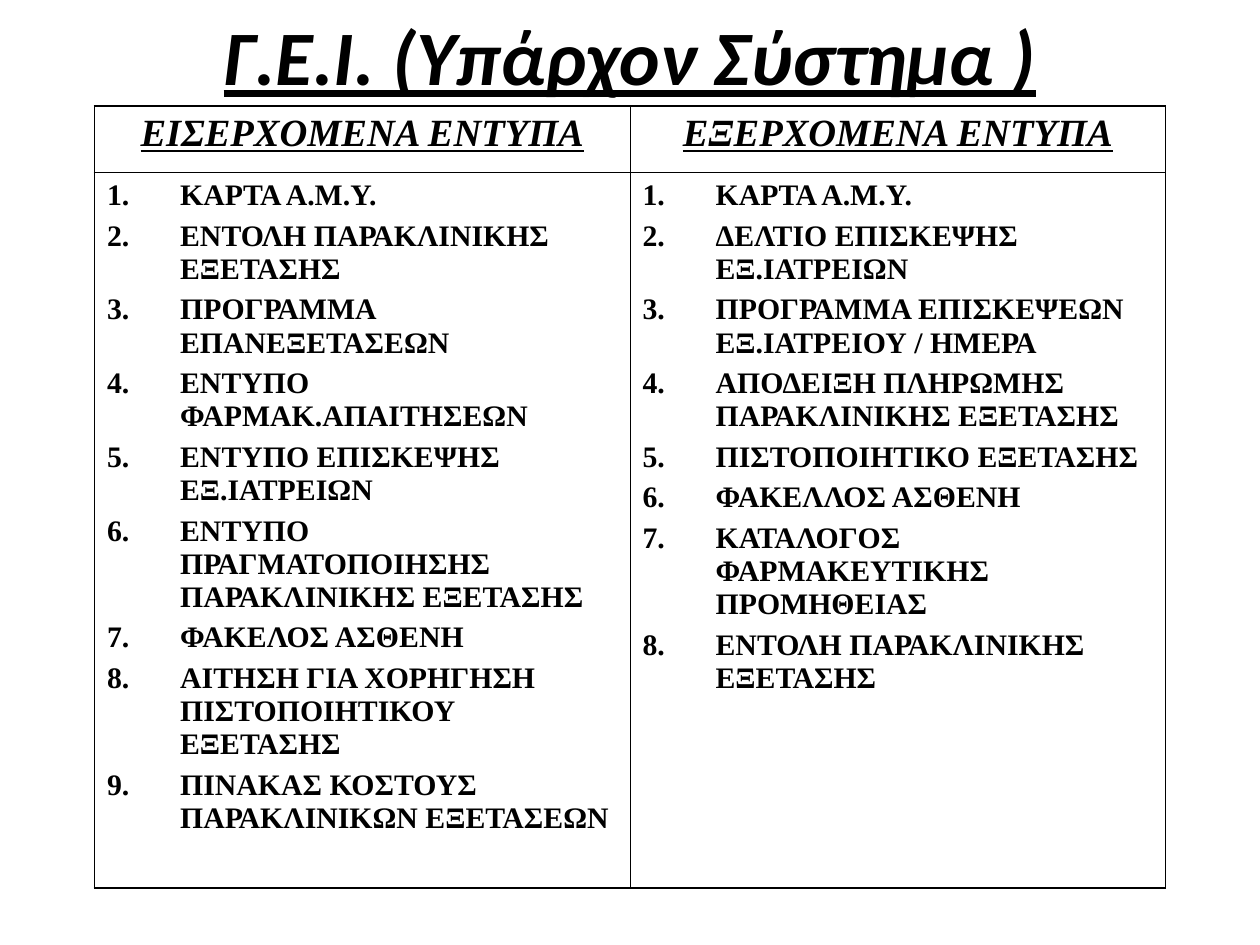
from lxml.etree import SubElement as Sub
from pptx import Presentation
from pptx.dml.color import RGBColor as Rgb
from pptx.enum.text import MSO_ANCHOR as Anchor, PP_ALIGN as Align
from pptx.oxml.ns import qn
from pptx.util import Inches, Pt

TITLE = "Γ.Ε.Ι. (Υπάρχον Σύστημα )"
FORMS = {
    "ΕΙΣΕΡΧΟΜΕΝΑ ΕΝΤΥΠΑ": [
        "ΚΑΡΤΑ Α.Μ.Υ.",
        "ΕΝΤΟΛΗ ΠΑΡΑΚΛΙΝΙΚΗΣ ΕΞΕΤΑΣΗΣ",
        "ΠΡΟΓΡΑΜΜΑ ΕΠΑΝΕΞΕΤΑΣΕΩΝ",
        "ΕΝΤΥΠΟ ΦΑΡΜΑΚ.ΑΠΑΙΤΗΣΕΩΝ",
        "ΕΝΤΥΠΟ ΕΠΙΣΚΕΨΗΣ ΕΞ.ΙΑΤΡΕΙΩΝ",
        "ΕΝΤΥΠΟ ΠΡΑΓΜΑΤΟΠΟΙΗΣΗΣ ΠΑΡΑΚΛΙΝΙΚΗΣ ΕΞΕΤΑΣΗΣ",
        "ΦΑΚΕΛΟΣ ΑΣΘΕΝΗ",
        "ΑΙΤΗΣΗ ΓΙΑ ΧΟΡΗΓΗΣΗ ΠΙΣΤΟΠΟΙΗΤΙΚΟΥ ΕΞΕΤΑΣΗΣ",
        "ΠΙΝΑΚΑΣ ΚΟΣΤΟΥΣ ΠΑΡΑΚΛΙΝΙΚΩΝ ΕΞΕΤΑΣΕΩΝ",
    ],
    "ΕΞΕΡΧΟΜΕΝΑ ΕΝΤΥΠΑ": [
        "ΚΑΡΤΑ Α.Μ.Υ.",
        "ΔΕΛΤΙΟ ΕΠΙΣΚΕΨΗΣ ΕΞ.ΙΑΤΡΕΙΩΝ",
        "ΠΡΟΓΡΑΜΜΑ ΕΠΙΣΚΕΨΕΩΝ ΕΞ.ΙΑΤΡΕΙΟΥ / ΗΜΕΡΑ",
        "ΑΠΟΔΕΙΞΗ ΠΛΗΡΩΜΗΣ ΠΑΡΑΚΛΙΝΙΚΗΣ ΕΞΕΤΑΣΗΣ",
        "ΠΙΣΤΟΠΟΙΗΤΙΚΟ ΕΞΕΤΑΣΗΣ",
        "ΦΑΚΕΛΛΟΣ ΑΣΘΕΝΗ",
        "ΚΑΤΑΛΟΓΟΣ ΦΑΡΜΑΚΕΥΤΙΚΗΣ ΠΡΟΜΗΘΕΙΑΣ",
        "ΕΝΤΟΛΗ ΠΑΡΑΚΛΙΝΙΚΗΣ ΕΞΕΤΑΣΗΣ",
    ],
}
COLORS = {"ink": "000000"}
WIDE, HIGH = Inches(10), Inches(7.5)
LEFT, SPAN = int(WIDE * 0.075), int(WIDE * 0.85)
TOP, ROWS = Inches(0.84), (Inches(0.53), Inches(5.68))
INDENT = Inches(0.58)
OUTER, INNER = Pt(1.08), Pt(0.45)


def style(para, face, size, head=False):
    """Set the font of a paragraph, with heading emphasis if asked."""
    font = para.font
    font.name, font.size, font.bold = face, Pt(size), True
    font.italic = font.underline = head
    font.color.rgb = Rgb.from_string(COLORS["ink"])
    if head:
        para.alignment = Align.CENTER


def number(para):
    """Give a paragraph a hanging automatic number."""
    props = para._p.get_or_add_pPr()
    props.set("marL", str(INDENT))
    props.set("indent", str(-INDENT))
    Sub(Sub(props, qn("a:buClr")), qn("a:srgbClr"), val=COLORS["ink"])
    Sub(props, qn("a:buAutoNum"), type="arabicPeriod")


def border(cell, row, col):
    """Draw heavy outer and light inner borders around a cell."""
    props = cell._tc.get_or_add_tcPr()
    edges = {"L": col == 0, "R": col == len(FORMS) - 1,
             "T": row == 0, "B": row == len(ROWS) - 1}
    for side, rim in edges.items():
        line = Sub(props, qn(f"a:ln{side}"), w=str(OUTER if rim else INNER))
        Sub(Sub(line, qn("a:solidFill")), qn("a:srgbClr"), val=COLORS["ink"])
    cell.fill.background()


def main():
    """Build the slide and save it."""
    deck = Presentation()
    deck.slide_width, deck.slide_height = WIDE, HIGH
    slide = deck.slides.add_slide(deck.slide_layouts[6])

    box = slide.shapes.add_textbox(LEFT, Inches(-0.19), SPAN, HIGH // 6)
    frame = box.text_frame
    frame.word_wrap, frame.vertical_anchor = True, Anchor.MIDDLE
    frame.text = TITLE
    style(frame.paragraphs[0], "Calibri", 44, head=True)

    table = slide.shapes.add_table(
        len(ROWS), len(FORMS), LEFT, TOP, SPAN, sum(ROWS)).table
    table.first_row = table.horz_banding = False
    for row, high in zip(table.rows, ROWS):
        row.height = high

    for col, (head, items) in enumerate(FORMS.items()):
        for row, lines in enumerate(([head], items)):
            cell = table.cell(row, col)
            border(cell, row, col)
            cell.text = "\n".join(lines)
            for spot, para in enumerate(cell.text_frame.paragraphs):
                if row:
                    number(para)
                if spot:
                    para.space_before = Pt(4.2)
                style(para, "Times New Roman", 17 if row else 22, not row)

    deck.save("out.pptx")


if __name__ == "__main__":
    main()
